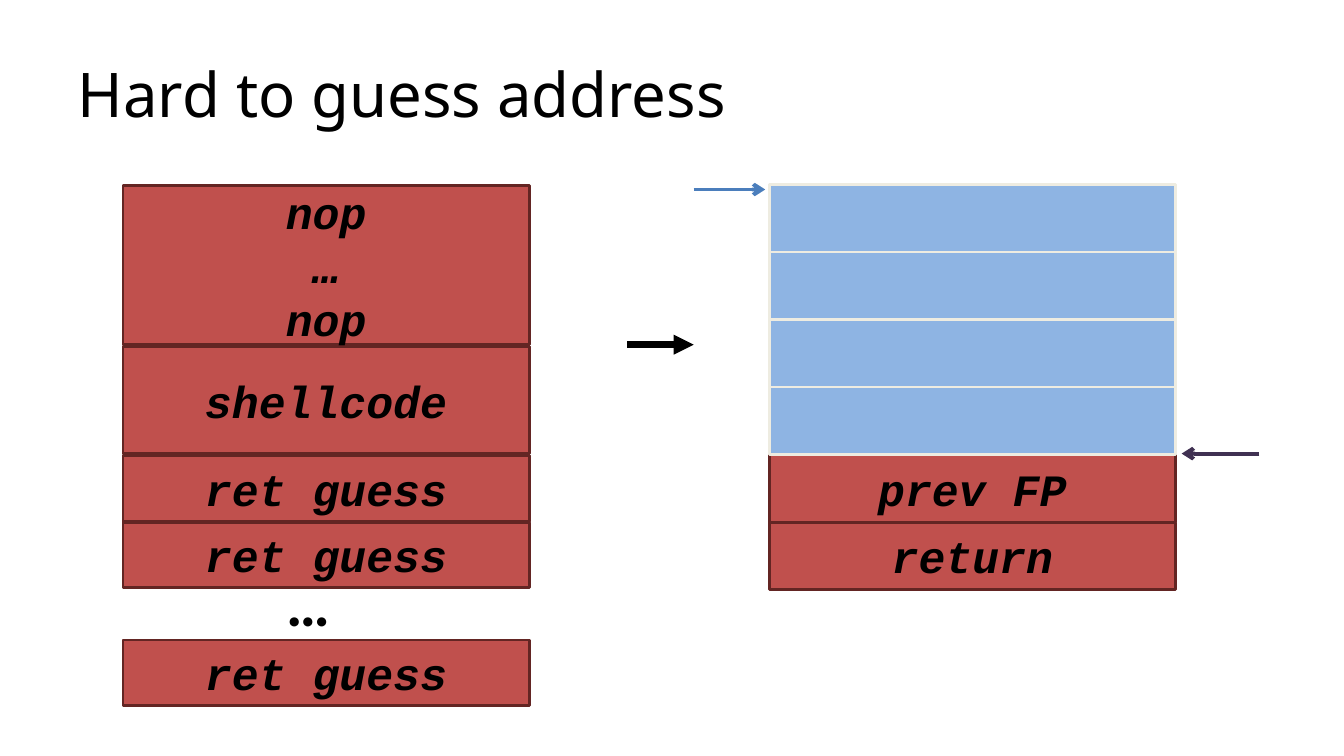
import pptx
import pptx.util
import pptx.dml.color
import pptx.enum.shapes
import pptx.enum.text
from lxml import etree

In = pptx.util.Inches
Pt = pptx.util.Pt
ALIGN = pptx.enum.text.PP_ALIGN
MIDDLE = pptx.enum.text.MSO_ANCHOR.MIDDLE
NS = "http://schemas.openxmlformats.org/drawingml/2006/main"


def rgb(value):
    return pptx.dml.color.RGBColor.from_string(value)


def style_text(tf, name, size, align, bold=False, italic=False):
    for p in tf.paragraphs:
        p.alignment = align
        for r in p.runs:
            r.font.name = name
            r.font.size = Pt(size)
            r.font.bold = bold
            r.font.italic = italic
            r.font.color.rgb = rgb("000000")


prs = pptx.Presentation()
prs.slide_width, prs.slide_height = In(13.33), In(7.5)
s = prs.slides.add_slide(prs.slide_layouts[5])

title = s.shapes.title
title.left, title.top, title.width, title.height = In(0.67), In(0.3), In(12), In(1.25)
tf = title.text_frame
tf.text = "Hard to guess address"
tf.vertical_anchor = MIDDLE
style_text(tf, "Noto Sans", 44, ALIGN.LEFT)

payload_x, stack_x, cell_w = 1.22, 7.63, 4.03
stack_top, row_h = 1.83, 0.67
RED, BLUE = ("C0504D", "632523"), ("8EB4E3", "EEECE1")

cells = [
    (payload_x, 3.44, 1.06, "shellcode", RED),
    (payload_x, 4.52, 0.65, "ret guess", RED),
    (payload_x, 5.18, 0.65, "ret guess", RED),
    (payload_x, 6.35, 0.65, "ret guess", RED),
    (payload_x, 1.84, 1.58, "nop\v…\nnop", RED),
]
stack = ["", "", "", "", "prev FP", "return"]
for row, label in reversed(list(enumerate(stack))):
    cells.append((stack_x, stack_top + row * row_h, row_h, label, RED if label else BLUE))

for x, y, h, label, (fill, line) in cells:
    sp = s.shapes.add_shape(pptx.enum.shapes.MSO_SHAPE.RECTANGLE, In(x), In(y), In(cell_w), In(h))
    sp.shadow.inherit = False
    sp.fill.solid()
    sp.fill.fore_color.rgb = rgb(fill)
    sp.line.color.rgb = rgb(line)
    sp.line.width = Pt(2)
    if label:
        tf = sp.text_frame
        tf.text = label
        tf.vertical_anchor = MIDDLE
        style_text(tf, "Courier New", 32, ALIGN.CENTER, bold=True, italic=True)

dots = s.shapes.add_textbox(In(2.74), In(5.56), In(0.64), In(0.84))
tf = dots.text_frame
tf.text = "…"
tf.word_wrap = False
tf.auto_size = pptx.enum.text.MSO_AUTO_SIZE.SHAPE_TO_FIT_TEXT
style_text(tf, "Calibri", 44, ALIGN.LEFT, bold=True)

arrows = [
    (6.88, 7.59, 1.88, "4B7EBC", 2.75, "arrow"),
    (12.49, 11.72, 4.5, "403152", 2.75, "arrow"),
    (6.22, 6.88, 3.42, "000000", 4.75, "triangle"),
]
for x1, x2, y, color, width, head in arrows:
    c = s.shapes.add_connector(pptx.enum.shapes.MSO_CONNECTOR.STRAIGHT, In(x1), In(y), In(x2), In(y))
    c.line.color.rgb = rgb(color)
    c.line.width = Pt(width)
    etree.SubElement(c.line._get_or_add_ln(), f"{{{NS}}}tailEnd", type=head)
    etree.SubElement(c._element.spPr, f"{{{NS}}}effectLst")

prs.save("out.pptx")
